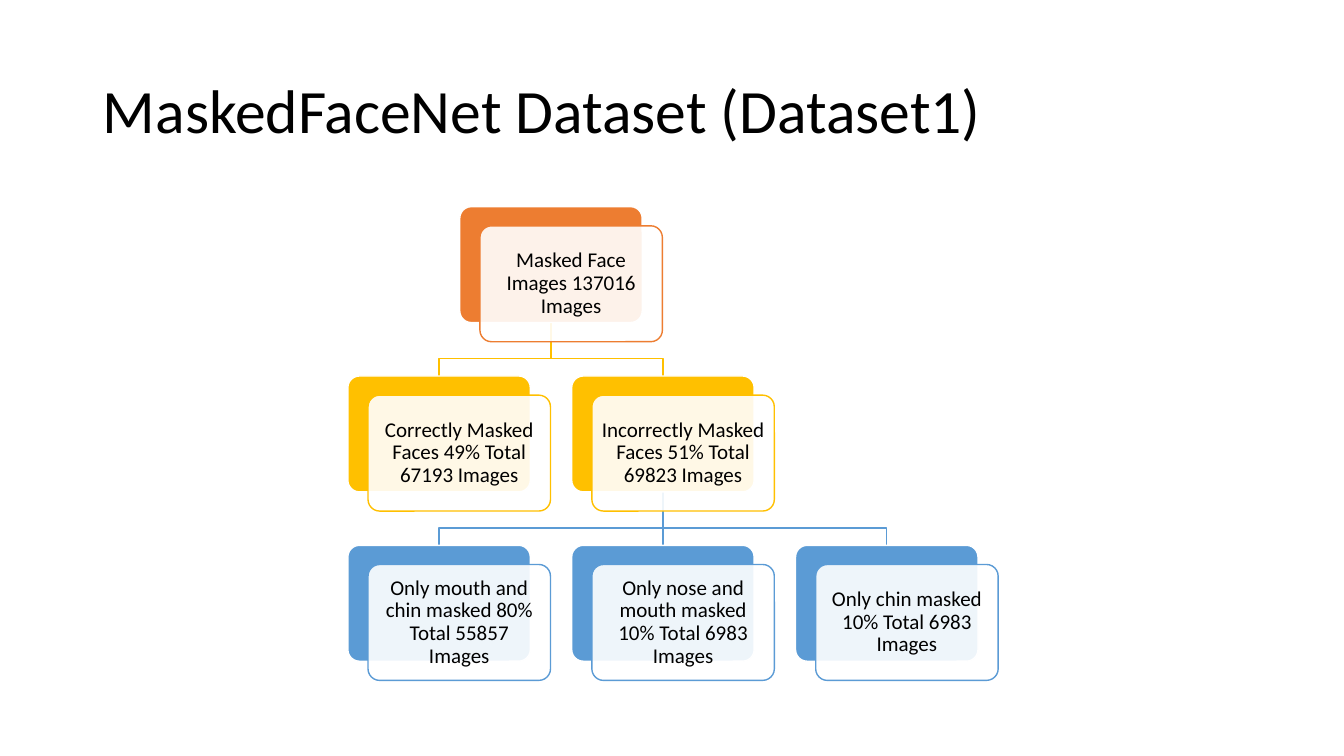
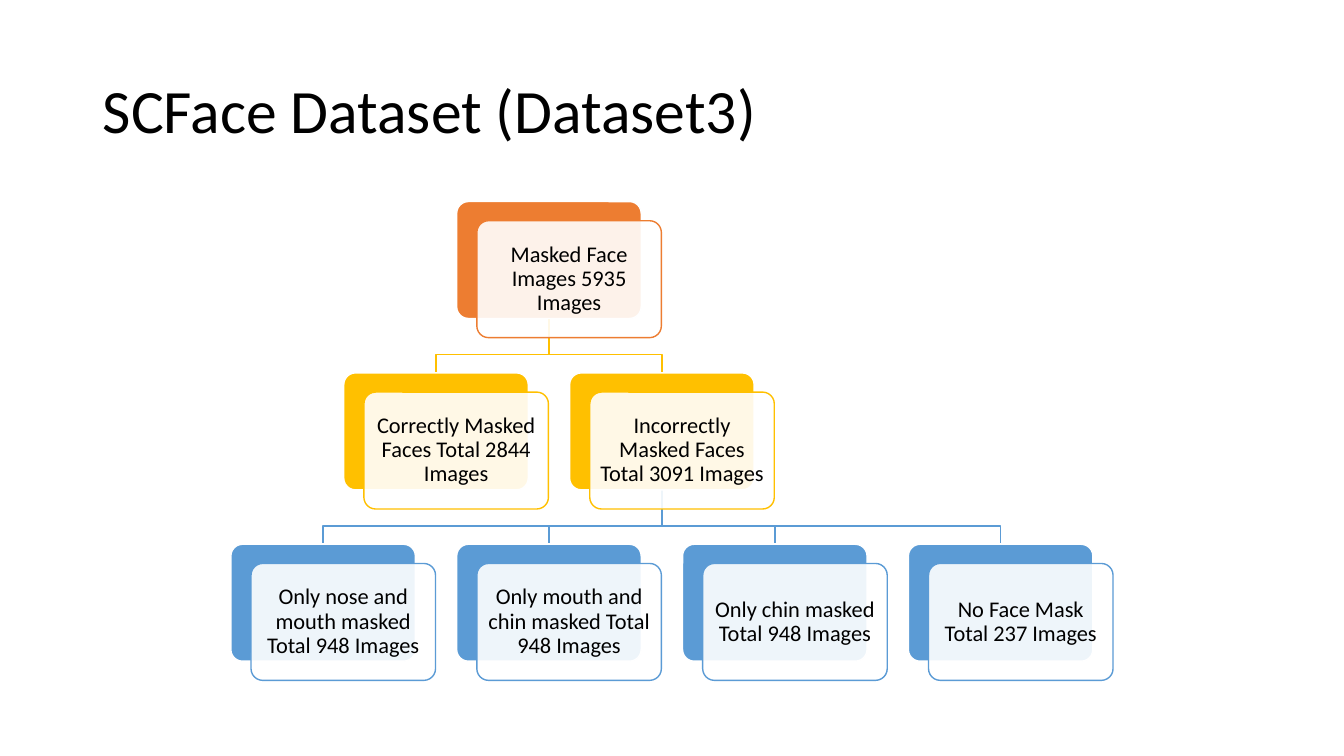
from lxml.etree import SubElement
from pptx import Presentation
from pptx.dml.color import RGBColor
from pptx.enum.shapes import MSO_CONNECTOR as Link, MSO_SHAPE as Shape
from pptx.enum.text import MSO_ANCHOR as Anchor, MSO_AUTO_SIZE as Fit, PP_ALIGN as Align
from pptx.oxml.ns import qn
from pptx.util import Inches, Pt

WHITE = RGBColor(0xFF, 0xFF, 0xFF)
BLACK = RGBColor(0, 0, 0)
ORANGE = RGBColor(0xED, 0x7D, 0x31)
GOLD = RGBColor(0xFF, 0xC0, 0x00)
BLUE = RGBColor(0x5B, 0x9B, 0xD5)
TIERS = [ORANGE, GOLD, BLUE]
FONT = "Calibri"
SHIFT_X, SHIFT_Y = 0.2, 0.19
BEND, DROP = 0.36, 0.53
INSET = Inches(0.06)

TREES = [
    {
        "title": "MaskedFaceNet Dataset (Dataset1)",
        "left": 3.45, "top": 2.05, "step": (2.22, 1.68),
        "card": (1.81, 1.15), "size": 15,
        "rows": [
            (0.5, ["Masked Face Images 137016 Images"]),
            (0, ["Correctly Masked Faces 49% Total 67193 Images",
                 "Incorrectly Masked Faces 51% Total 69823 Images"]),
            (0, ["Only mouth and chin masked 80% Total 55857 Images",
                 "Only nose and mouth masked 10% Total 6983 Images",
                 "Only chin masked 10% Total 6983 Images"]),
        ],
    },
    {
        "title": "SCFace Dataset (Dataset3)",
        "left": 2.29, "top": 2, "step": (2.24, 1.7),
        "card": (1.83, 1.16), "size": 16,
        "rows": [
            (1, ["Masked Face Images 5935 Images"]),
            (0.5, ["Correctly Masked Faces Total 2844 Images",
                   "Incorrectly Masked Faces Total 3091 Images"]),
            (0, ["Only nose and mouth masked Total 948 Images",
                 "Only mouth and chin masked Total 948 Images",
                 "Only chin masked Total 948 Images",
                 "No Face Mask Total 237 Images"]),
        ],
    },
]


def write(frame, text, size, align):
    frame.text = text
    frame.word_wrap = True
    frame.auto_size = Fit.NONE
    frame.vertical_anchor = Anchor.MIDDLE
    para = frame.paragraphs[0]
    para.alignment = align
    para.line_spacing = 0.9
    font = para.runs[0].font
    font.name, font.size = FONT, Pt(size)
    font.color.rgb = BLACK


def add_title(slide, text):
    title = slide.shapes.title
    title.left, title.top = Inches(0.92), Inches(0.4)
    title.width, title.height = Inches(11.5), Inches(1.45)
    write(title.text_frame, text, 44, Align.LEFT)


def add_link(slide, start, end_x, color):
    x, y = start
    if abs(x - end_x) < 0.01:
        link = slide.shapes.add_connector(
            Link.STRAIGHT, Inches(x), Inches(y), Inches(x), Inches(y + DROP))
        SubElement(link._element.spPr, qn("a:effectLst"))
    else:
        path = slide.shapes.build_freeform(Inches(x), Inches(y))
        turns = [(x, y + BEND), (end_x, y + BEND), (end_x, y + DROP)]
        path.add_line_segments([(Inches(a), Inches(b)) for a, b in turns], close=False)
        link = path.convert_to_shape()
        link.fill.background()
        link.shadow.inherit = False
    link.line.color.rgb = color
    link.line.width = Pt(1)


def add_panel(slide, x, y, card, fill, line):
    panel = slide.shapes.add_shape(
        Shape.ROUNDED_RECTANGLE, Inches(x), Inches(y), *map(Inches, card))
    panel.adjustments[0] = 0.1
    panel.shadow.inherit = False
    panel.fill.solid()
    panel.fill.fore_color.rgb = fill
    panel.line.color.rgb = line
    panel.line.width = Pt(1)
    return panel


def add_card(slide, x, y, text, color, tree):
    add_panel(slide, x, y, tree["card"], color, WHITE)
    front = add_panel(slide, x + SHIFT_X, y + SHIFT_Y, tree["card"], WHITE, color)
    tint = front._element.spPr.find(qn("a:solidFill"))[0]
    SubElement(tint, qn("a:alpha"), val="90000")
    frame = front.text_frame
    frame.margin_left = frame.margin_right = INSET
    frame.margin_top = frame.margin_bottom = INSET
    write(frame, text, tree["size"], Align.CENTER)


def add_tree(slide, tree):
    step_x, step_y = tree["step"]
    wide, high = tree["card"]
    rows = []
    for level, (first, texts) in enumerate(tree["rows"]):
        y = tree["top"] + level * step_y
        rows.append([(tree["left"] + (first + col) * step_x, y, text)
                     for col, text in enumerate(texts)])
    for level in (2, 1):
        x, y, _ = rows[level - 1][-1]
        for child in reversed(rows[level]):
            add_link(slide, (x + wide / 2, y + high), child[0] + wide / 2, TIERS[level])
    for row, color in zip(rows, TIERS):
        for x, y, text in row:
            add_card(slide, x, y, text, color, tree)


def main():
    deck = Presentation()
    deck.slide_width, deck.slide_height = Inches(13.33), Inches(7.5)
    for tree in TREES:
        slide = deck.slides.add_slide(deck.slide_layouts[5])
        add_title(slide, tree["title"])
        add_tree(slide, tree)
    deck.save("out.pptx")


if __name__ == "__main__":
    main()
